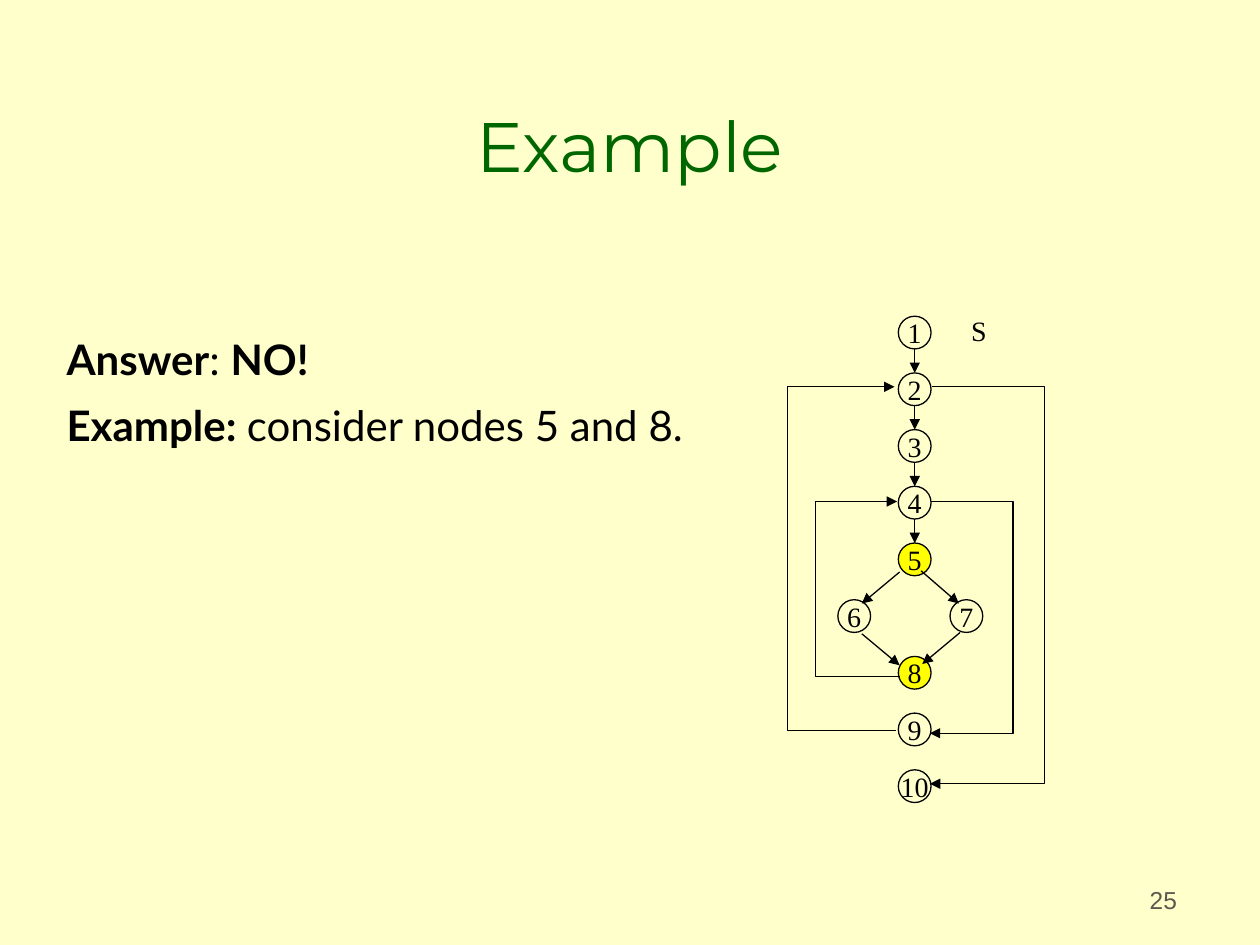
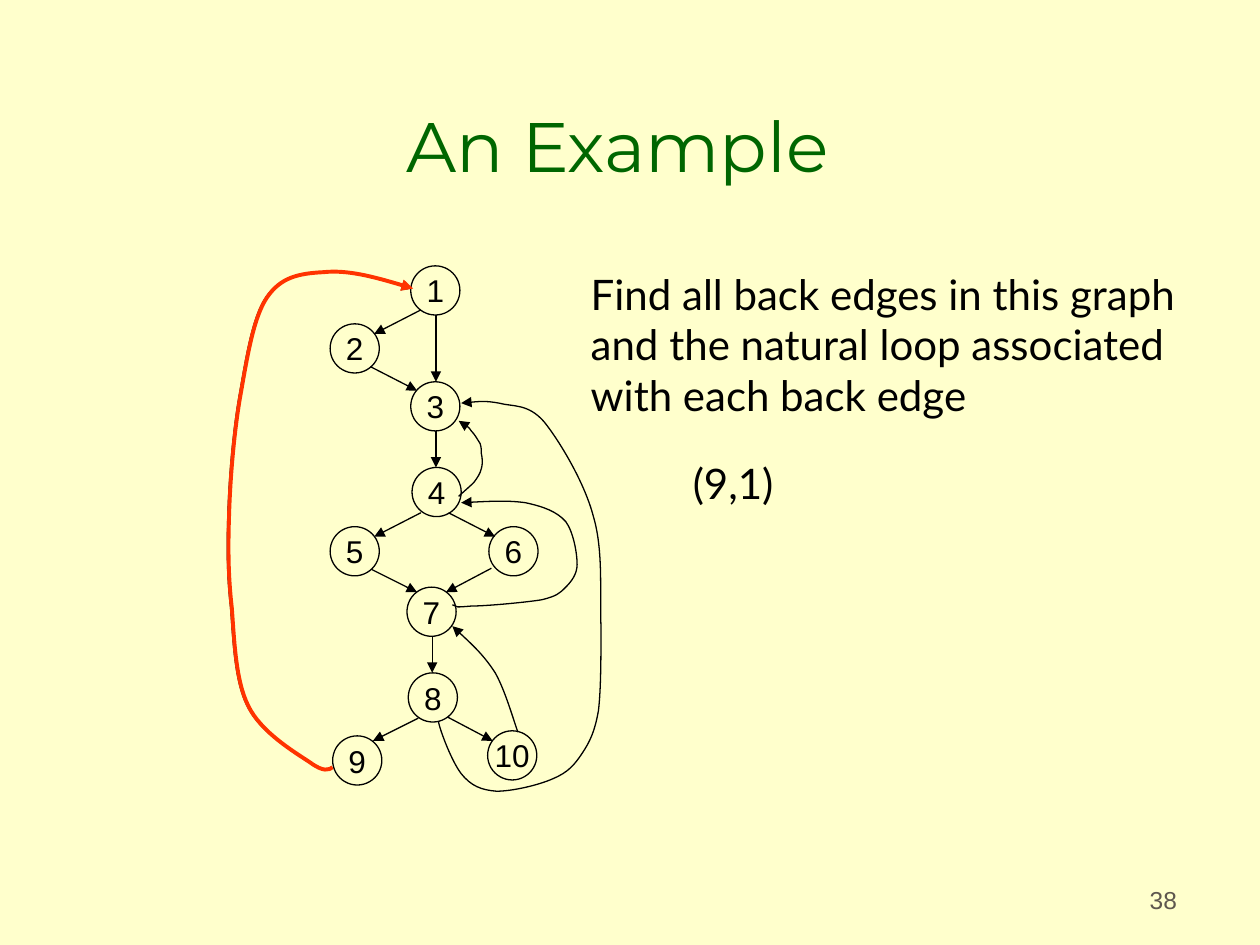
import pptx
import pptx.dml.color
import pptx.enum.shapes
import pptx.enum.text
import pptx.oxml
import pptx.oxml.ns
import pptx.util

Inches = pptx.util.Inches
Pt = pptx.util.Pt
RGBColor = pptx.dml.color.RGBColor
Align = pptx.enum.text.PP_ALIGN
Anchor = pptx.enum.text.MSO_ANCHOR
qn = pptx.oxml.ns.qn

CREAM = RGBColor(0xFF, 0xFF, 0xCC)
GREEN = RGBColor(0x00, 0x66, 0x00)
TAUPE = RGBColor(0x5E, 0x57, 0x4E)
BLACK = RGBColor(0x00, 0x00, 0x00)
YELLOW = RGBColor(0xFF, 0xFF, 0x00)
RED = RGBColor(0xFF, 0x33, 0x00)
DRAWING = pptx.oxml.ns.nsdecls("a")


class GraphDeck:
    """Draws flow graph slides in one shared style."""

    def __init__(self):
        self.deck = pptx.Presentation()
        self.deck.slide_width = Inches(10)
        self.deck.slide_height = Inches(7.5)
        self.slide = None

    def start(self, title, number, title_left=0.75):
        self.slide = self.deck.slides.add_slide(self.deck.slide_layouts[6])
        self.slide.background.fill.solid()
        self.slide.background.fill.fore_color.rgb = CREAM
        heading = self.text((title_left, 0.25, 8.5, 1.25), [title], 40, "Montserrat",
                            GREEN, Align.CENTER, Anchor.BOTTOM)
        heading.margin_bottom = Inches(0.02)
        self.text((7.36, 6.81, 2.08, 0.5), [number], 14, "Arial",
                  TAUPE, Align.RIGHT, Anchor.BOTTOM)

    def typeset(self, frame, paragraphs, size, font, color, align, gap=0):
        for index, content in enumerate(paragraphs):
            paragraph = frame.paragraphs[0] if index == 0 else frame.add_paragraph()
            paragraph.alignment = align
            paragraph.space_before = Pt(gap if index else 0)
            paragraph.font.size = Pt(size)
            paragraph.font.name = font
            paragraph.font.color.rgb = color
            runs = [(content, False)] if isinstance(content, str) else content
            for words, bold in runs:
                run = paragraph.add_run()
                run.text = words
                if bold:
                    run.font.bold = True

    def text(self, box, paragraphs, size=24, font="Lato", color=BLACK,
             align=Align.LEFT, anchor=Anchor.TOP, gap=0):
        frame = self.slide.shapes.add_textbox(*map(Inches, box)).text_frame
        frame.word_wrap = True
        frame.vertical_anchor = anchor
        self.typeset(frame, paragraphs, size, font, color, align, gap)
        return frame

    def node(self, label, left, top, diameter, size, font, fill=None):
        circle = self.slide.shapes.add_shape(
            pptx.enum.shapes.MSO_SHAPE.OVAL,
            *map(Inches, (left, top, diameter, diameter)))
        self.outline(circle, fill=fill)
        circle.text_frame.word_wrap = False
        circle.text_frame.vertical_anchor = Anchor.MIDDLE
        self.typeset(circle.text_frame, [label], size, font, BLACK, Align.CENTER)

    def outline(self, shape, color=BLACK, width=0.75, fill=None):
        shape.shadow.inherit = False
        if fill is None:
            shape.fill.background()
        else:
            shape.fill.solid()
            shape.fill.fore_color.rgb = fill
        shape.line.color.rgb = color
        shape.line.width = Pt(width)

    def arrowhead(self, shape, end):
        head = pptx.oxml.parse_xml(f'<a:{end} {DRAWING} type="triangle"/>')
        shape._element.spPr.find(qn("a:ln")).append(head)

    def arrow(self, start, end):
        edge = self.slide.shapes.add_connector(
            pptx.enum.shapes.MSO_CONNECTOR.STRAIGHT, *map(Inches, (*start, *end)))
        edge.line.color.rgb = BLACK
        edge.line.width = Pt(0.75)
        self.arrowhead(edge, "tailEnd")
        edge._element.spPr.append(pptx.oxml.parse_xml(f"<a:effectLst {DRAWING}/>"))

    def outline_through(self, points, color=BLACK, width=0.75):
        start, *rest = [(Inches(x), Inches(y)) for x, y in points]
        builder = self.slide.shapes.build_freeform(*start)
        builder.add_line_segments(rest, close=False)
        edge = builder.convert_to_shape()
        self.outline(edge, color, width)
        return edge

    def elbow(self, start, lane, end):
        edge = self.outline_through([start, (lane, start[1]), (lane, end[1]), end])
        self.arrowhead(edge, "tailEnd")

    def curve(self, points, color=BLACK, width=0.75):
        edge = self.outline_through(points, color, width)
        self.arrowhead(edge, "headEnd")
        steps = list(edge._element.iter(qn("a:lnTo")))
        for first in range(0, len(steps), 3):
            bezier = pptx.oxml.parse_xml(f"<a:cubicBezTo {DRAWING}/>")
            steps[first].addprevious(bezier)
            for step in steps[first:first + 3]:
                bezier.append(step[0])
                step.getparent().remove(step)


def answer_slide(deck):
    deck.start("Example", "25")
    deck.text((0.43, 2.6, 5.52, 1.02),
              [[("Answer", True), (": ", False), ("NO!", True)],
               [("Example: ", True), ("consider nodes 5 and 8.", False)]], gap=9)

    diameter, pitch, top, spine = 0.26, 0.45, 2.51, 7.13
    rows = [("1",), ("2",), ("3",), ("4",), ("5",), ("6", "7"), ("8",), ("9",), ("10",)]
    branches = {"6": 6.65, "7": 7.54}
    for row, labels in enumerate(rows):
        for label in labels:
            deck.node(label, branches.get(label, spine), top + row * pitch, diameter,
                      16, "Times New Roman", YELLOW if label in ("5", "8") else None)

    center = spine + diameter / 2
    for row in range(4):
        above = top + row * pitch
        deck.arrow((center, above + diameter), (center, above + pitch))
    for start, end in [((7.14, 4.54), (6.84, 4.79)), ((7.31, 4.53), (7.61, 4.79)),
                       ((6.84, 5.03), (7.14, 5.28)), ((7.62, 5.02), (7.32, 5.27))]:
        deck.arrow(start, end)
    for start, lane, end in [((7.14, 5.37), 6.47, (7.12, 3.98)),
                             ((7.39, 3.98), 8.04, (7.38, 5.82)),
                             ((7.11, 5.8), 6.25, (7.1, 3.07)),
                             ((7.4, 3.07), 8.29, (7.38, 6.22))]:
        deck.elbow(start, lane, end)
    deck.text((7.61, 2.44, 0.32, 0.37), ["S"], 16, "Times New Roman")


def back_edges_slide(deck):
    deck.start("An Example", "38", title_left=0.65)
    deck.text((4.59, 2.08, 5.23, 1.3),
              ["Find all back edges in this graph",
               "and the natural loop associated",
               "with each back edge"])
    deck.text((5.4, 3.58, 0.87, 0.5), ["(9,1)"])

    places = [(3.26, 2.11), (2.62, 2.57), (3.26, 3.03), (3.27, 3.71), (2.62, 4.18),
              (3.88, 4.18), (3.23, 4.66), (3.24, 5.34), (2.64, 5.84), (3.87, 5.8)]
    for number, (left, top) in enumerate(places, 1):
        deck.node(str(number), left, top, 0.39, 18, "Arial")

    for start, end in [((3.34, 2.46), (2.97, 2.65)), ((3.46, 2.5), (3.46, 3.03)),
                       ((2.94, 2.91), (3.31, 3.1)), ((3.46, 3.42), (3.46, 3.71)),
                       ((3.34, 4.07), (2.97, 4.26)), ((3.56, 4.07), (3.93, 4.26)),
                       ((2.95, 4.52), (3.31, 4.7)), ((3.9, 4.51), (3.54, 4.7)),
                       ((3.43, 5.05), (3.43, 5.34)), ((3.32, 5.7), (2.96, 5.88)),
                       ((3.55, 5.69), (3.91, 5.88))]:
        deck.arrow(start, end)

    edge_4_3 = [(3.64, 3.34), (3.68, 3.36), (3.72, 3.39), (3.74, 3.42),
                (3.77, 3.45), (3.79, 3.49), (3.81, 3.52),
                (3.82, 3.55), (3.82, 3.57), (3.82, 3.6),
                (3.83, 3.64), (3.83, 3.69), (3.82, 3.72),
                (3.81, 3.76), (3.79, 3.79), (3.76, 3.83),
                (3.73, 3.86), (3.66, 3.92), (3.64, 3.94)]
    edge_7_4 = [(3.66, 3.99), (3.85, 3.98), (4.03, 3.97), (4.17, 3.99),
                (4.31, 4.02), (4.42, 4.06), (4.49, 4.14),
                (4.55, 4.22), (4.58, 4.39), (4.58, 4.48),
                (4.58, 4.56), (4.53, 4.62), (4.49, 4.66),
                (4.44, 4.71), (4.42, 4.73), (4.3, 4.76),
                (4.18, 4.78), (3.86, 4.81), (3.74, 4.81),
                (3.62, 4.82), (3.62, 4.82), (3.59, 4.8)]
    edge_8_3 = [(3.66, 3.2), (3.76, 3.19), (3.85, 3.18), (3.96, 3.2),
                (4.07, 3.23), (4.19, 3.2), (4.32, 3.35),
                (4.44, 3.5), (4.64, 3.83), (4.71, 4.1),
                (4.79, 4.37), (4.76, 4.71), (4.77, 4.97),
                (4.77, 5.22), (4.77, 5.47), (4.75, 5.64),
                (4.72, 5.81), (4.68, 5.89), (4.62, 5.98),
                (4.56, 6.07), (4.51, 6.13), (4.39, 6.18),
                (4.28, 6.23), (4.07, 6.28), (3.94, 6.28),
                (3.82, 6.27), (3.74, 6.24), (3.66, 6.14),
                (3.59, 6.05), (3.5, 5.82), (3.48, 5.73)]
    edge_10_7 = [(3.59, 4.97), (3.71, 5.08), (3.84, 5.2), (3.93, 5.34),
                 (4.01, 5.48), (4.08, 5.73), (4.11, 5.81)]
    edge_9_1 = [(3.27, 2.29), (3.01, 2.21), (2.75, 2.14), (2.56, 2.16),
                (2.36, 2.17), (2.22, 2.2), (2.11, 2.36),
                (2, 2.52), (1.95, 2.85), (1.9, 3.13),
                (1.85, 3.41), (1.82, 3.77), (1.81, 4.05),
                (1.8, 4.33), (1.8, 4.56), (1.83, 4.82),
                (1.85, 5.08), (1.86, 5.4), (1.96, 5.6),
                (2.06, 5.81), (2.33, 5.97), (2.45, 6.05),
                (2.56, 6.13), (2.6, 6.11), (2.63, 6.09)]
    for back_edge in (edge_4_3, edge_7_4, edge_8_3, edge_10_7, edge_9_1):
        deck.curve(back_edge)
    deck.curve([(x + 0.01, y) for x, y in edge_9_1], RED, 2.25)


def main():
    graphs = GraphDeck()
    answer_slide(graphs)
    back_edges_slide(graphs)
    graphs.deck.save("out.pptx")


if __name__ == "__main__":
    main()
